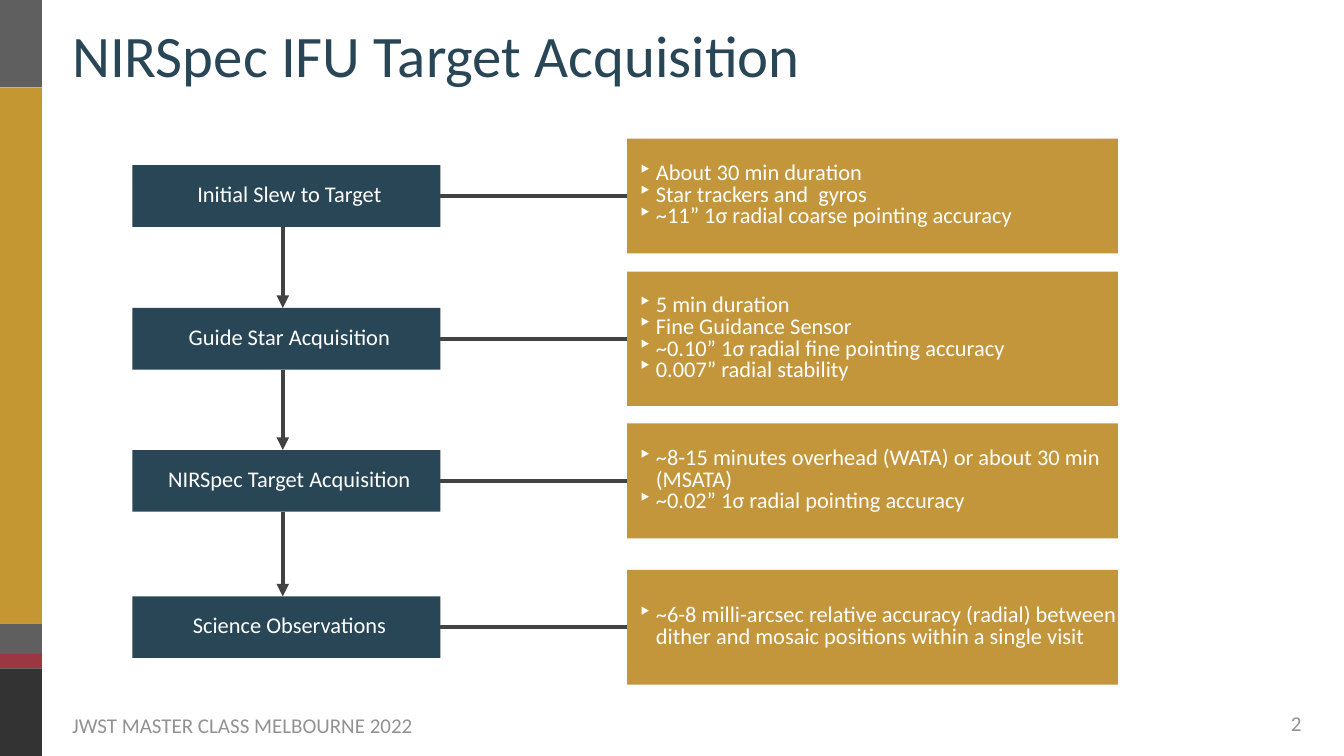
from lxml import etree
from pptx import Presentation
from pptx.dml.color import RGBColor
from pptx.enum.shapes import MSO_CONNECTOR, MSO_SHAPE
from pptx.enum.text import MSO_ANCHOR, PP_ALIGN
from pptx.oxml.ns import qn
from pptx.util import Pt

PX = 12700  # EMU per px, on a 1920 x 1080 slide
RECTANGLE = MSO_SHAPE.RECTANGLE
STRAIGHT = MSO_CONNECTOR.STRAIGHT
MIDDLE, TOP = MSO_ANCHOR.MIDDLE, MSO_ANCHOR.TOP
LEFT, CENTER = PP_ALIGN.LEFT, PP_ALIGN.CENTER
FONT = "Calibri"
COLORS = {
    "gold": "C49732", "gray": "5F5F5F", "red": "9C3742", "black": "333333",
    "navy": "284655", "ochre": "C3963C", "line": "424242",
    "muted": "929292", "white": "FFFFFF",
}


def set_text(shape, lines, size, color, align=LEFT, anchor=MIDDLE, inset=0,
             margin=0, bullet=None, spacing=None, wrap=True):
    """Fill a shape with one formatted paragraph per line."""
    frame = shape.text_frame
    frame.word_wrap = wrap
    frame.vertical_anchor = anchor
    frame.margin_left = frame.margin_right = inset * PX
    frame.margin_top = frame.margin_bottom = inset * PX
    frame.text = "\n".join(lines)
    for para in frame.paragraphs:
        properties = para._p.get_or_add_pPr()
        properties.set("marL", str(margin * PX))
        properties.set("indent", "0")
        if bullet:
            properties.set("indent", str(-25 * PX))
            etree.SubElement(properties, qn("a:buChar")).set("char", bullet)
        para.alignment = align
        if spacing:
            para.line_spacing = spacing
        for span in para.runs:
            span.font.name = FONT
            span.font.size = Pt(size)
            span.font.color.rgb = RGBColor.from_string(COLORS[color])


def add_block(left, top, width, height, color):
    block = page.shapes.add_shape(
        RECTANGLE, left * PX, top * PX, width * PX, height * PX)
    block.shadow.inherit = False
    block.fill.solid()
    block.fill.fore_color.rgb = RGBColor.from_string(COLORS[color])
    block.line.fill.background()
    return block


deck = Presentation()
deck.slide_width, deck.slide_height = 1920 * PX, 1080 * PX
page = deck.slides.add_slide(deck.slide_layouts[5])

# Side stripe
bands = [(0, 125, "gray"), (125, 891, "gold"), (891, 934, "gray"),
         (934, 955, "red"), (955, 1080, "black")]
for top, bottom, color in bands:
    add_block(-1, top, 61, bottom - top, color)

# Title, footer and page number
title = page.shapes.title
title.left, title.top = 99 * PX, 14 * PX
title.width, title.height = 1521 * PX, 125 * PX
set_text(title, ["NIRSpec IFU Target Acquisition"], 84, "navy", inset=4)

footer = page.shapes.add_textbox(99 * PX, 1013 * PX, 602 * PX, 45 * PX)
set_text(footer, ["JWST MASTER CLASS MELBOURNE 2022"], 30, "muted",
         inset=4, wrap=False)
number = page.shapes.add_textbox(1838 * PX, 1011 * PX, 27 * PX, 49 * PX)
set_text(number, ["2"], 30, "muted", align=CENTER, anchor=TOP, inset=4)

# Acquisition steps: centre line, detail height, name, details
steps = [
    (280, 164, "Initial Slew to Target",
     ["About 30 min duration", "Star trackers and  gyros",
      "~11” 1σ radial coarse pointing accuracy"]),
    (484, 192, "Guide Star Acquisition",
     ["5 min duration", "Fine Guidance Sensor",
      "~0.10” 1σ radial fine pointing accuracy", "0.007” radial stability"]),
    (687, 164, "NIRSpec Target Acquisition",
     ["~8-15 minutes overhead (WATA) or about 30 min (MSATA)",
      "~0.02” 1σ radial pointing accuracy"]),
    (896, 164, "Science Observations",
     ["~6-8 milli-arcsec relative accuracy (radial) between dither and "
      "mosaic positions within a single visit"]),
]
STEP_LEFT, STEP_WIDTH, STEP_HEIGHT = 189, 440, 88
DETAIL_LEFT, DETAIL_WIDTH = 896, 701
ARROW_X = 404
HALF_STEP = STEP_HEIGHT // 2

for middle, height, name, details in steps:
    step = add_block(STEP_LEFT, middle - HALF_STEP, STEP_WIDTH, STEP_HEIGHT,
                     "navy")
    set_text(step, [name], 32, "white", align=CENTER, margin=9, spacing=0.8)
    detail = add_block(DETAIL_LEFT, middle - height // 2, DETAIL_WIDTH, height,
                       "ochre")
    set_text(detail, details, 32, "white", margin=41, bullet="‣", spacing=0.8)

# Links to the details, and arrows between consecutive steps
middles = [step[0] for step in steps]
links = [(STEP_LEFT + STEP_WIDTH, middle, DETAIL_LEFT, middle, False)
         for middle in middles]
links += [(ARROW_X, upper + HALF_STEP, ARROW_X, lower - HALF_STEP, True)
          for upper, lower in zip(middles, middles[1:])]
for x1, y1, x2, y2, has_arrow in links:
    link = page.shapes.add_connector(STRAIGHT, x1 * PX, y1 * PX, x2 * PX, y2 * PX)
    link.line.width = Pt(6)
    link.line.color.rgb = RGBColor.from_string(COLORS["line"])
    if has_arrow:
        outline = link.line._get_or_add_ln()
        etree.SubElement(outline, qn("a:tailEnd")).set("type", "triangle")
    etree.SubElement(link._element.spPr, qn("a:effectLst"))

deck.save("out.pptx")
